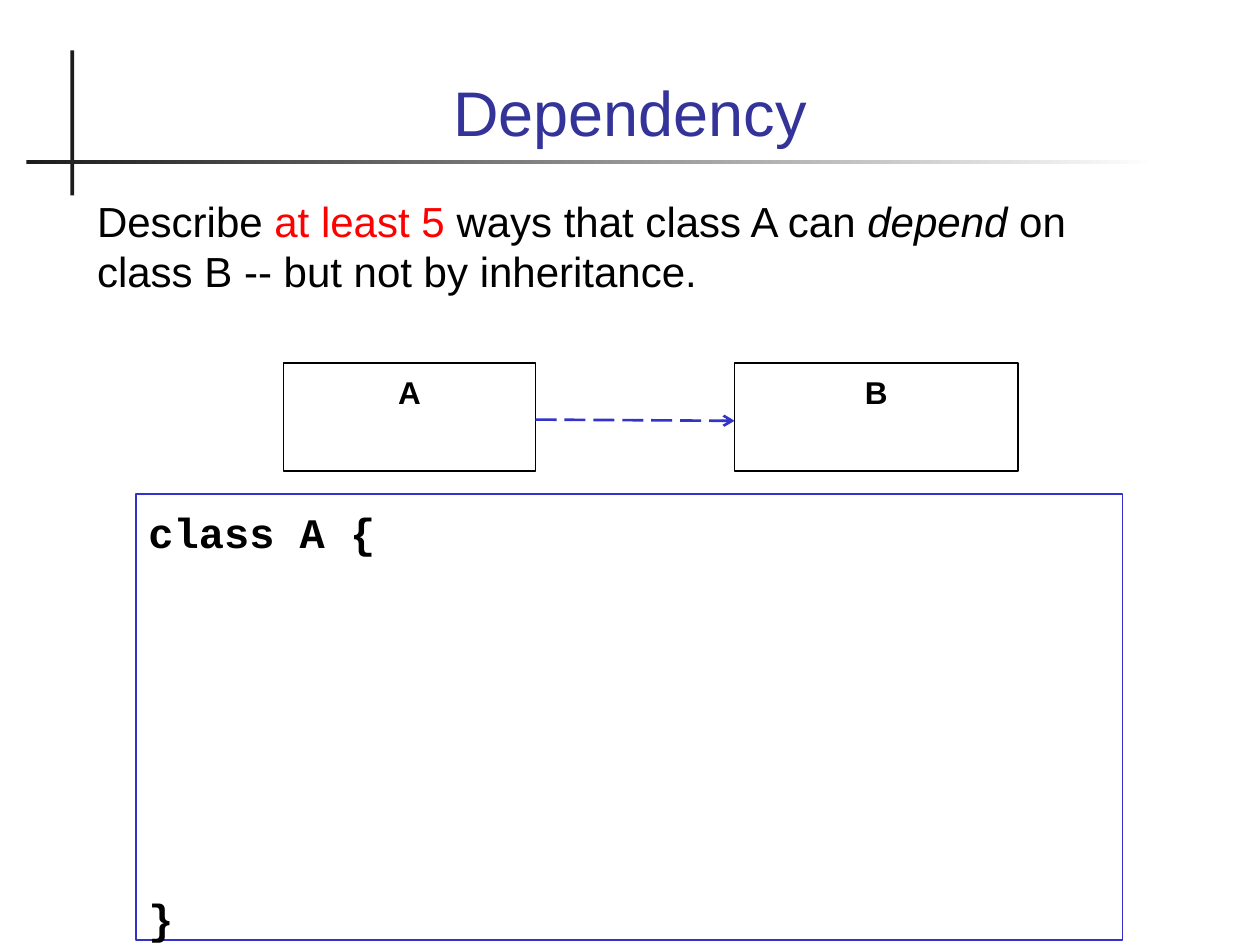
from lxml.etree import SubElement
from pptx import Presentation
from pptx.dml.color import RGBColor
from pptx.enum.dml import MSO_LINE
from pptx.enum.shapes import MSO_CONNECTOR, MSO_SHAPE
from pptx.enum.text import MSO_ANCHOR, MSO_AUTO_SIZE, PP_ALIGN
from pptx.oxml.ns import qn
from pptx.util import Inches, Pt

COLORS = {"title": "333399", "text": "000000", "accent": "FF0000",
          "blue": "3333CC", "rule": "1C1C1C", "white": "FFFFFF"}


def color(name):
    return RGBColor.from_string(COLORS[name])


def style(run, size, name="text", font="Arial", bold=False):
    run.font.size = Pt(size)
    run.font.name = font
    run.font.bold = bold
    run.font.color.rgb = color(name)


deck = Presentation()
deck.slide_width, deck.slide_height = Inches(10), Inches(7.5)
slide = deck.slides.add_slide(deck.slide_layouts[1])
shapes = slide.shapes

# Crossed rules; the horizontal one fades out
rules = []
for box in [(0.56, 0.4, 0.03, 1.15), (0.21, 1.27, 8.99, 0.03)]:
    rule = shapes.add_shape(MSO_SHAPE.RECTANGLE, *map(Inches, box))
    rule.shadow.inherit = False
    rule.line.fill.background()
    rules.append(rule)
upright, level = rules
upright.fill.solid()
upright.fill.fore_color.rgb = color("rule")
level.fill.gradient()
level.fill.gradient_angle = 0
for stop, name in zip(level.fill.gradient_stops, ["rule", "white"]):
    stop.color.rgb = color(name)

# Title and question
title, body = shapes.title, slide.placeholders[1]
for holder, top, height in [(title, 0.28, 0.95), (body, 1.5, 1.25)]:
    holder.left, holder.top = Inches(0.67), Inches(top)
    holder.width, holder.height = Inches(8.66), Inches(height)
    holder.text_frame.auto_size = MSO_AUTO_SIZE.NONE
title.text_frame.text = "Dependency"
title.text_frame.vertical_anchor = MSO_ANCHOR.BOTTOM
style(title.text_frame.paragraphs[0].runs[0], 36, "title")

para = body.text_frame.paragraphs[0]
para.space_before = Pt(6)
props = para._p.get_or_add_pPr()
props.set("marL", "0")
props.set("indent", "0")
SubElement(props, qn("a:buNone"))
for text, name, slant in [("Describe ", "text", False),
                          ("at least 5", "accent", False),
                          (" ways that class A can ", "text", False),
                          ("depend", "text", True),
                          (" on class B -- but not by inheritance.", "text", False)]:
    run = para.add_run()
    run.text = text
    style(run, 24, name)
    run.font.italic = slant

# Class boxes and the code frame
for box, text, edge, width, size, font, align, inset in [
    ((2.25, 2.88, 2, 0.86), "A", "text", 1, 18, "Arial", PP_ALIGN.CENTER, 0.08),
    ((5.83, 2.88, 2.25, 0.86), "B", "text", 1, 18, "Arial", PP_ALIGN.CENTER, 0.08),
    ((1.08, 3.92, 7.83, 3.54), "class A {\n}", "blue", 0.75, 24, "Courier New",
     PP_ALIGN.LEFT, 0.1),
]:
    frame = shapes.add_shape(MSO_SHAPE.RECTANGLE, *map(Inches, box))
    frame.shadow.inherit = False
    frame.fill.background()
    frame.line.color.rgb = color(edge)
    frame.line.width = Pt(width)
    words = frame.text_frame
    words.text = text
    words.word_wrap = True
    words.vertical_anchor = MSO_ANCHOR.TOP
    words.margin_top = Inches(inset)
    for para in words.paragraphs:
        para.alignment = align
        style(para.runs[0], size, font=font, bold=True)
words.paragraphs[-1].space_before = Pt(192)  # room for the class body

# Dependency arrow
arrow = shapes.add_connector(MSO_CONNECTOR.STRAIGHT, Inches(4.25), Inches(3.33),
                             Inches(5.83), Inches(3.34))
arrow.line.color.rgb = color("blue")
arrow.line.width = Pt(1.5)
arrow.line.dash_style = MSO_LINE.LONG_DASH
SubElement(arrow.line._get_or_add_ln(), qn("a:tailEnd"), type="arrow")
SubElement(arrow._element.spPr, qn("a:effectLst"))

deck.save("out.pptx")
